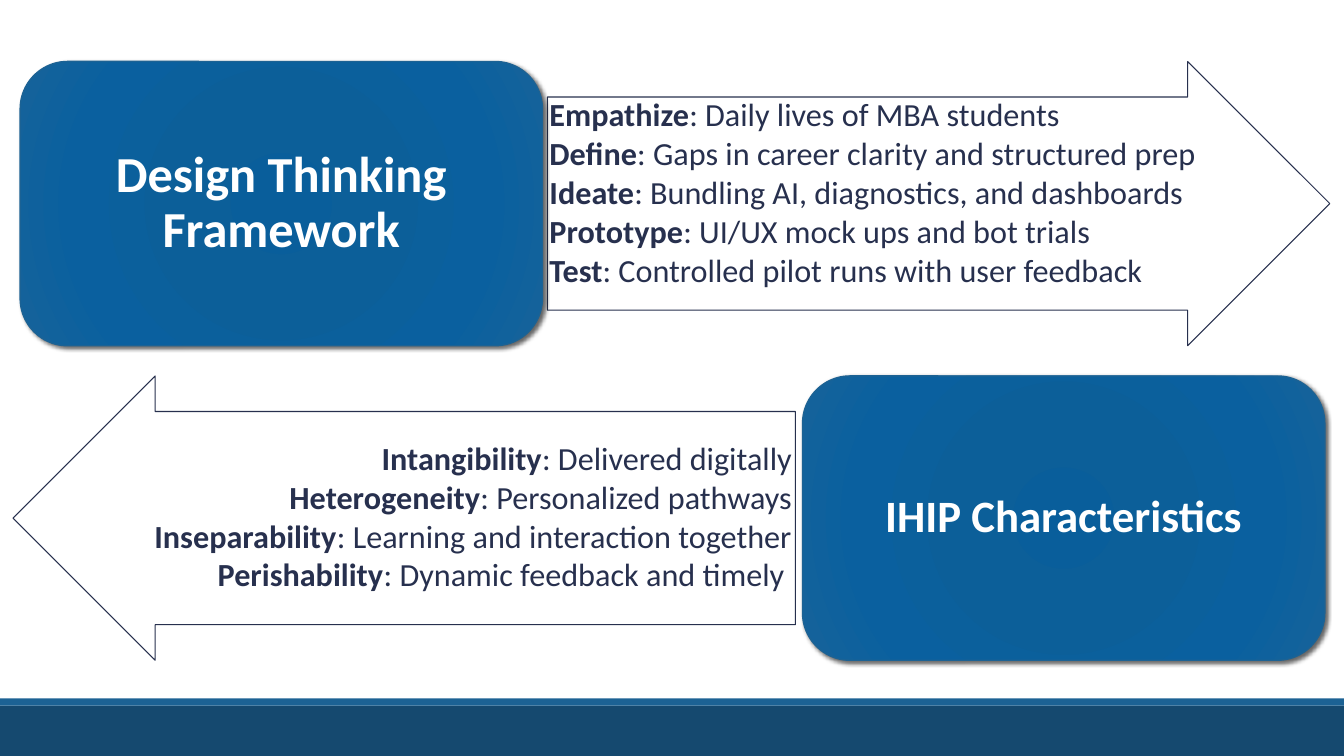
from lxml.etree import SubElement
from pptx import Presentation
from pptx.dml.color import RGBColor
from pptx.enum.shapes import MSO_SHAPE
from pptx.enum.text import MSO_ANCHOR, PP_ALIGN
from pptx.oxml import parse_xml
from pptx.oxml.ns import nsdecls, qn
from pptx.util import Inches, Pt

NAVY, BLUE, DEEP_BLUE, WHITE = "27304E", "1C6294", "15496F", "FFFFFF"
GRADIENT = [(0, "095E9B"), (34, "0C5F99"), (70, "0A609F"), (100, "16639A")]
ROW_HEIGHT, ROW_PITCH, TOP = 2.82, 3.12, 0.61
CARD_WIDTH, ARROW_WIDTH = 5.18, 7.76


def add_block(preset, left, top, width, height, fill=None, line=None, weight=1):
    block = slide.shapes.add_shape(
        preset, Inches(left), Inches(top), Inches(width), Inches(height)
    )
    block.shadow.inherit = False
    if fill:
        block.fill.solid()
        block.fill.fore_color.rgb = RGBColor.from_string(fill)
    else:
        block.fill.background()
    if line:
        block.line.color.rgb = RGBColor.from_string(line)
        block.line.width = Pt(weight)
    else:
        block.line.fill.background()
    return block


def write(block, paragraphs, size, color, align, anchor, insets, after=0):
    frame = block.text_frame
    frame.word_wrap = True
    frame.vertical_anchor = anchor
    frame.margin_left, frame.margin_right = map(Inches, insets)
    frame.margin_top = frame.margin_bottom = Inches(0.02)
    for number, runs in enumerate(paragraphs):
        paragraph = frame.add_paragraph() if number else frame.paragraphs[0]
        paragraph.alignment = align
        paragraph.line_spacing = 0.9
        paragraph.space_after = Pt(after)
        for position, wording in enumerate(runs):
            run = paragraph.add_run()
            run.text = wording
            run.font.name = "Calibri"
            run.font.size = Pt(size)
            run.font.bold = position == 0
            run.font.color.rgb = RGBColor.from_string(color)


prs = Presentation()
prs.slide_width, prs.slide_height = Inches(13.33), Inches(7.5)
slide = prs.slides.add_slide(prs.slide_layouts[6])

add_block(MSO_SHAPE.RECTANGLE, 0, 7, 13.33, 0.5, fill=DEEP_BLUE)
add_block(MSO_SHAPE.RECTANGLE, 0, 6.93, 13.33, 0.07, fill=BLUE)

design_steps = [
    ("Empathize", ": Daily lives of MBA students"),
    ("Define", ": Gaps in career clarity and structured prep"),
    ("Ideate", ": Bundling AI, diagnostics, and dashboards"),
    ("Prototype", ": UI/UX mock ups and bot trials"),
    ("Test", ": Controlled pilot runs with user feedback"),
]
service_traits = [
    ("Intangibility", ": Delivered digitally"),
    ("Heterogeneity", ": Personalized pathways"),
    ("Inseparability", ": Learning and interaction together"),
    ("Perishability", ": Dynamic feedback and timely "),
]
topics = [
    ("Design Thinking Framework", 36, 0.2, design_steps, MSO_SHAPE.RIGHT_ARROW,
     5.43, PP_ALIGN.LEFT, MSO_ANCHOR.TOP, (0.02, 0)),
    ("IHIP Characteristics", 32, 7.96, service_traits, MSO_SHAPE.LEFT_ARROW,
     0.13, PP_ALIGN.RIGHT, MSO_ANCHOR.MIDDLE, (0, 0.03)),
]

for row, (heading, heading_size, card_left, points, direction,
          arrow_left, align, anchor, insets) in enumerate(topics):
    top = TOP + row * ROW_PITCH

    arrow = add_block(direction, arrow_left, top, ARROW_WIDTH, ROW_HEIGHT,
                      line=NAVY, weight=0.75)
    arrow.adjustments[0] = 0.75
    arrow.adjustments[1] = 0.5
    write(arrow, points, 23, NAVY, align, anchor, insets, after=3)

    card = add_block(MSO_SHAPE.ROUNDED_RECTANGLE, card_left, top, CARD_WIDTH,
                     ROW_HEIGHT, fill=BLUE, line=BLUE)
    write(card, [(heading,)], heading_size, WHITE, PP_ALIGN.CENTER,
          MSO_ANCHOR.MIDDLE, (0.15, 0.15))

    properties = card._element.spPr
    stops = "".join(
        f'<a:gs pos="{share * 1000}"><a:srgbClr val="{color}"/></a:gs>'
        for share, color in GRADIENT
    )
    glow = parse_xml(
        f'<a:gradFill {nsdecls("a")} rotWithShape="1"><a:gsLst>{stops}</a:gsLst>'
        '<a:path path="circle"><a:fillToRect l="100000" t="100000" '
        'r="100000" b="100000"/></a:path></a:gradFill>'
    )
    properties.replace(properties.find(qn("a:solidFill")), glow)
    shadow = SubElement(
        properties.find(qn("a:effectLst")), qn("a:outerShdw"),
        blurRad=str(Pt(3)), dist=str(Pt(2)), dir="2700000", rotWithShape="0",
    )
    shade = SubElement(shadow, qn("a:srgbClr"), val="000000")
    SubElement(shade, qn("a:alpha"), val="60000")

prs.save("out.pptx")
